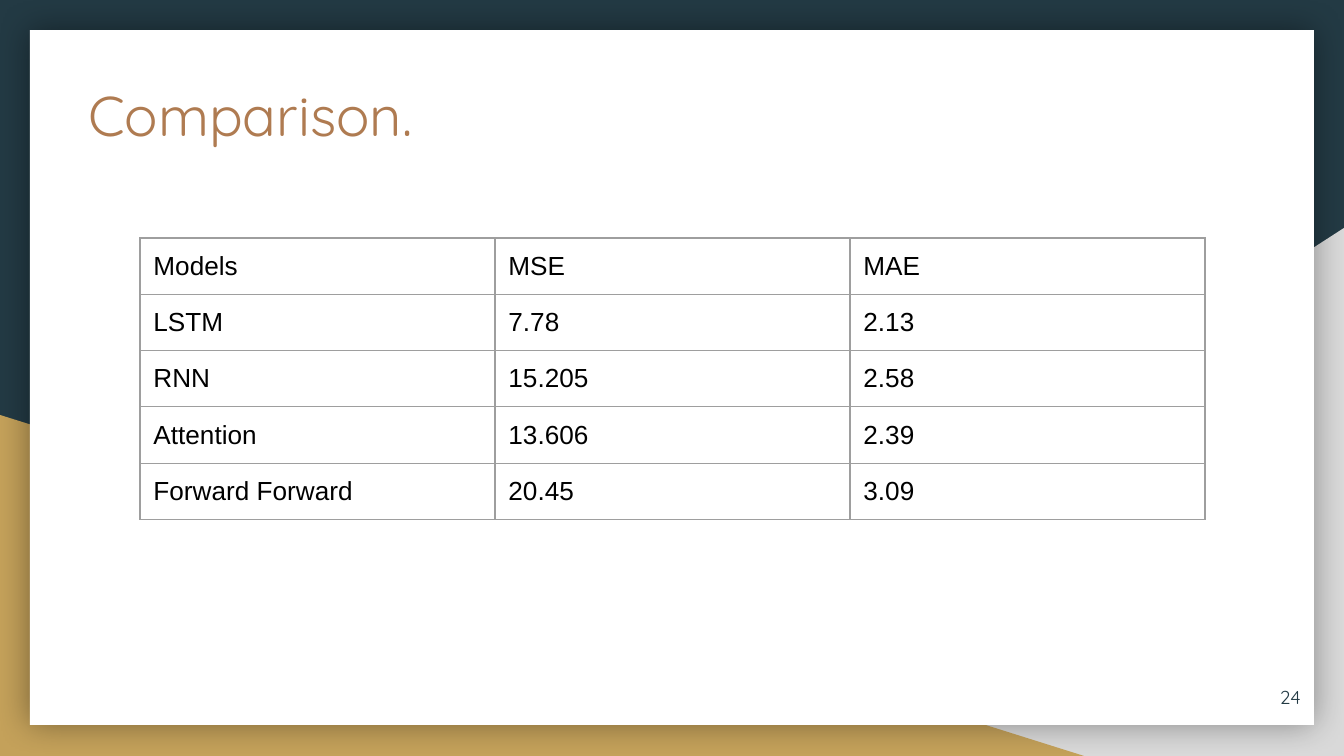
from dataclasses import dataclass

import pptx
import pptx.dml.color
import pptx.enum.shapes
import pptx.enum.text
import pptx.oxml
import pptx.oxml.ns
import pptx.util

EMU_PER_INCH = 914400
PX_PER_INCH = 134.4
SHAPES = pptx.enum.shapes.MSO_SHAPE
ALIGN = pptx.enum.text.PP_ALIGN
ANCHOR = pptx.enum.text.MSO_ANCHOR


@dataclass(frozen=True)
class Theme:
    navy: str = "233A44"
    gold: str = "C4A15A"
    grey: str = "D9D9D9"
    white: str = "FFFFFF"
    copper: str = "AF7B51"
    black: str = "000000"
    border: str = "9E9E9E"
    heading_font: str = "Quicksand"
    body_font: str = "Arial"
    title_size: int = 30
    table_size: int = 14
    number_size: int = 10
    border_width: float = 0.75


@dataclass(frozen=True)
class Box:
    left: int
    top: int
    width: int
    height: int

    def emu(self) -> tuple:
        return tuple(px(side) for side in (self.left, self.top, self.width, self.height))


@dataclass(frozen=True)
class Panel:
    kind: int
    box: Box
    color: str
    flipped: bool = False
    shadowed: bool = False


THEME = Theme()
PANELS = (
    Panel(SHAPES.RIGHT_TRIANGLE, Box(527, 228, 817, 528), THEME.grey, flipped=True),
    Panel(SHAPES.RIGHT_TRIANGLE, Box(0, 415, 1084, 341), THEME.gold),
    Panel(SHAPES.RECTANGLE, Box(30, 30, 1284, 695), THEME.white, shadowed=True),
)
TITLE_BOX = Box(75, 67, 1103, 140)
NUMBER_BOX = Box(1234, 668, 80, 58)
TABLE_LEFT, TABLE_TOP = 140, 238
COLUMN_WIDTH, ROW_HEIGHT = 355, 56
RESULTS = (
    ("Models", "MSE", "MAE"),
    ("LSTM", "7.78", "2.13"),
    ("RNN", "15.205", "2.58"),
    ("Attention", "13.606", "2.39"),
    ("Forward Forward", "20.45", "3.09"),
)


def px(length: int) -> int:
    return round(length * EMU_PER_INCH / PX_PER_INCH)


def rgb(color: str) -> pptx.dml.color.RGBColor:
    return pptx.dml.color.RGBColor.from_string(color)


def parse_xml(tag: str, attributes: str, content: str):
    """Build one DrawingML element."""
    namespace = pptx.oxml.ns.nsdecls("a")
    return pptx.oxml.parse_xml(f"<a:{tag} {namespace} {attributes}>{content}</a:{tag}>")


def write(frame, text: str, font: str, size: int, color: str, align=ALIGN.LEFT) -> None:
    frame.text = text
    paragraph = frame.paragraphs[0]
    paragraph.alignment = align
    paragraph.font.name = font
    paragraph.font.size = pptx.util.Pt(size)
    paragraph.font.color.rgb = rgb(color)


def set_frame(frame, anchor) -> None:
    frame.word_wrap = True
    frame.auto_size = pptx.enum.text.MSO_AUTO_SIZE.NONE
    frame.vertical_anchor = anchor
    frame.margin_left = frame.margin_right = pptx.util.Inches(0.1)
    frame.margin_top = frame.margin_bottom = pptx.util.Inches(0.1)


def add_panel(page, panel: Panel) -> None:
    shape = page.shapes.add_shape(panel.kind, *panel.box.emu())
    shape.shadow.inherit = False
    shape.fill.solid()
    shape.fill.fore_color.rgb = rgb(panel.color)
    shape.line.fill.background()
    properties = shape.element.spPr
    if panel.flipped:
        properties.xfrm.set("flipH", "1")
    if panel.shadowed:
        effects = properties.find(pptx.oxml.ns.qn("a:effectLst"))
        tint = f'<a:srgbClr val="{THEME.black}"><a:alpha val="40000"/></a:srgbClr>'
        blur = pptx.util.Pt(18)
        effects.append(parse_xml("outerShdw", f'blurRad="{blur}" dist="0" algn="ctr" rotWithShape="0"', tint))


def set_title(page, text: str) -> None:
    """Fill the title placeholder and bring it in front of the panels."""
    title = page.shapes.title
    title.left, title.top, title.width, title.height = TITLE_BOX.emu()
    set_frame(title.text_frame, ANCHOR.TOP)
    write(title.text_frame, text, THEME.heading_font, THEME.title_size, THEME.copper)
    title.element.getparent().append(title.element)


def format_cell(cell, text: str) -> None:
    cell.margin_left = cell.margin_right = pptx.util.Inches(0.1)
    cell.margin_top = cell.margin_bottom = pptx.util.Inches(0.1)
    write(cell.text_frame, text, THEME.body_font, THEME.table_size, THEME.black)
    properties = cell._tc.get_or_add_tcPr()
    paint = f'<a:solidFill><a:srgbClr val="{THEME.border}"/></a:solidFill>'
    width = pptx.util.Pt(THEME.border_width)
    for edge in ("lnL", "lnR", "lnT", "lnB"):
        properties.append(parse_xml(edge, f'w="{width}"', paint))
    cell.fill.background()


def add_results(page) -> None:
    rows, columns = len(RESULTS), len(RESULTS[0])
    box = Box(TABLE_LEFT, TABLE_TOP, columns * COLUMN_WIDTH, rows * ROW_HEIGHT)
    table = page.shapes.add_table(rows, columns, *box.emu()).table
    table.first_row = table.horz_banding = False
    for column in table.columns:
        column.width = px(COLUMN_WIDTH)
    for row, values in zip(table.rows, RESULTS):
        row.height = px(ROW_HEIGHT)
        for cell, value in zip(row.cells, values):
            format_cell(cell, value)


def add_page_number(page, number: str) -> None:
    frame = page.shapes.add_textbox(*NUMBER_BOX.emu()).text_frame
    set_frame(frame, ANCHOR.MIDDLE)
    write(frame, number, THEME.heading_font, THEME.number_size, THEME.navy, ALIGN.RIGHT)


def main() -> None:
    deck = pptx.Presentation()
    deck.slide_width, deck.slide_height = px(1344), px(756)
    page = deck.slides.add_slide(deck.slide_layouts.get_by_name("Title Only"))
    page.background.fill.solid()
    page.background.fill.fore_color.rgb = rgb(THEME.navy)
    for panel in PANELS:
        add_panel(page, panel)
    set_title(page, "Comparison.")
    add_results(page)
    add_page_number(page, "24")
    deck.save("out.pptx")


if __name__ == "__main__":
    main()
